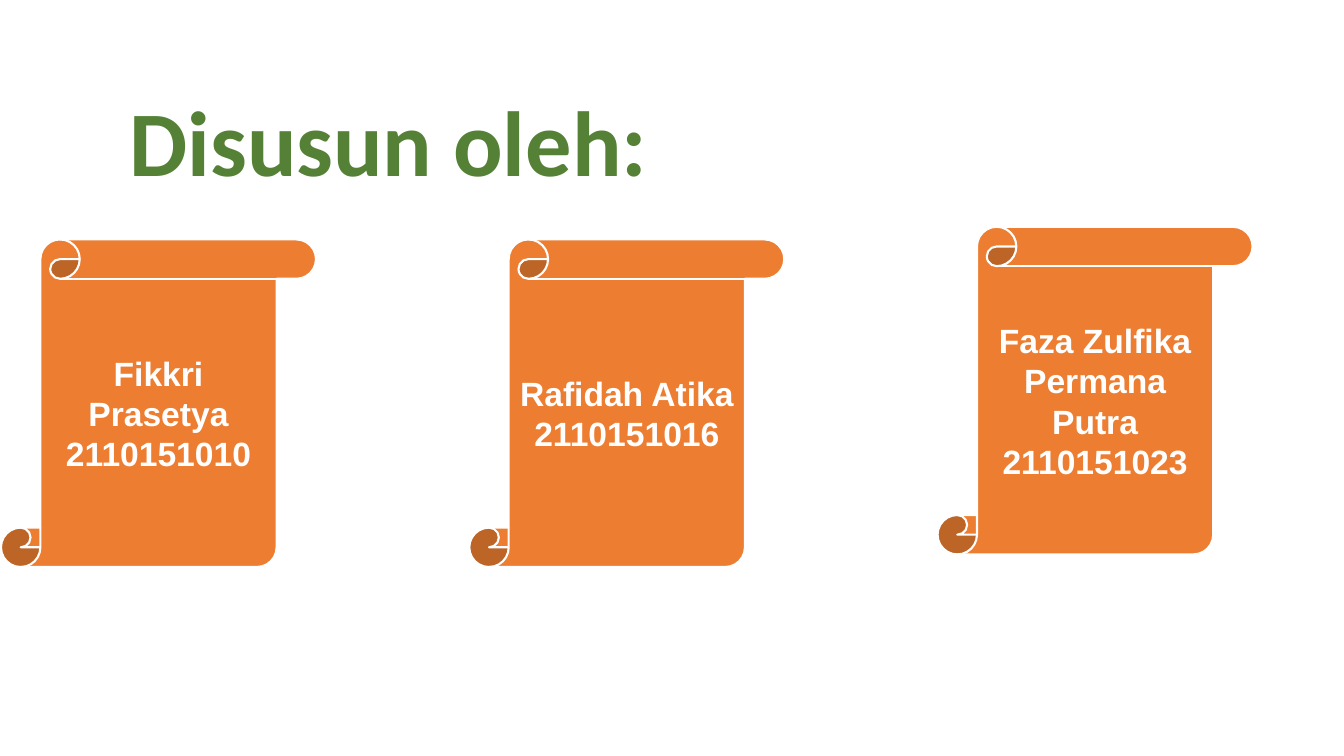
from pptx import Presentation
from pptx.dml.color import RGBColor
from pptx.enum.shapes import MSO_SHAPE
from pptx.enum.text import MSO_ANCHOR, PP_ALIGN
from pptx.util import Pt

PX = 9525  # EMU per px, 96 px to the inch
SCROLL_LEFT, SCROLL_STEP = 1, 446
SCROLL_WIDTH, SCROLL_HEIGHT = 300, 312

AUTHORS = [
    ("Fikkri Prasetya", "2110151010", 228),
    ("Rafidah Atika", "2110151016", 228),
    ("Faza Zulfika Permana Putra", "2110151023", 216),
]


def color(hex_string):
    return RGBColor.from_string(hex_string)


def style(paragraph, name, size, hex_string):
    """Set a bold font on the whole paragraph."""
    font = paragraph.font
    font.name = name
    font.size = Pt(size)
    font.bold = True
    font.color.rgb = color(hex_string)


presentation = Presentation()
presentation.slide_width = 1280 * PX
presentation.slide_height = 720 * PX
slide = presentation.slides.add_slide(presentation.slide_layouts[6])

# Title
title = slide.shapes.add_textbox(114 * PX, 72 * PX, 1078 * PX, 120 * PX)
title.text_frame.word_wrap = True
title.text_frame.vertical_anchor = MSO_ANCHOR.BOTTOM
paragraph = title.text_frame.paragraphs[0]
paragraph.text = "Disusun oleh:"
paragraph.line_spacing = 0.9
style(paragraph, "Calibri", 66, "548135")

# One scroll per author
for index, (name, student_number, top) in enumerate(AUTHORS):
    scroll = slide.shapes.add_shape(
        MSO_SHAPE.VERTICAL_SCROLL,
        (SCROLL_LEFT + index * SCROLL_STEP) * PX,
        top * PX,
        SCROLL_WIDTH * PX,
        SCROLL_HEIGHT * PX,
    )
    scroll.shadow.inherit = False
    scroll.fill.solid()
    scroll.fill.fore_color.rgb = color("ED7D31")
    scroll.line.color.rgb = color("FFFFFF")
    scroll.line.width = Pt(1.5)

    text_frame = scroll.text_frame
    text_frame.word_wrap = True
    text_frame.vertical_anchor = MSO_ANCHOR.MIDDLE
    text_frame.text = f"{name}\n{student_number}"
    for paragraph in text_frame.paragraphs:
        paragraph.alignment = PP_ALIGN.CENTER
        style(paragraph, "Arial", 24, "FFFFFF")

presentation.save("out.pptx")
